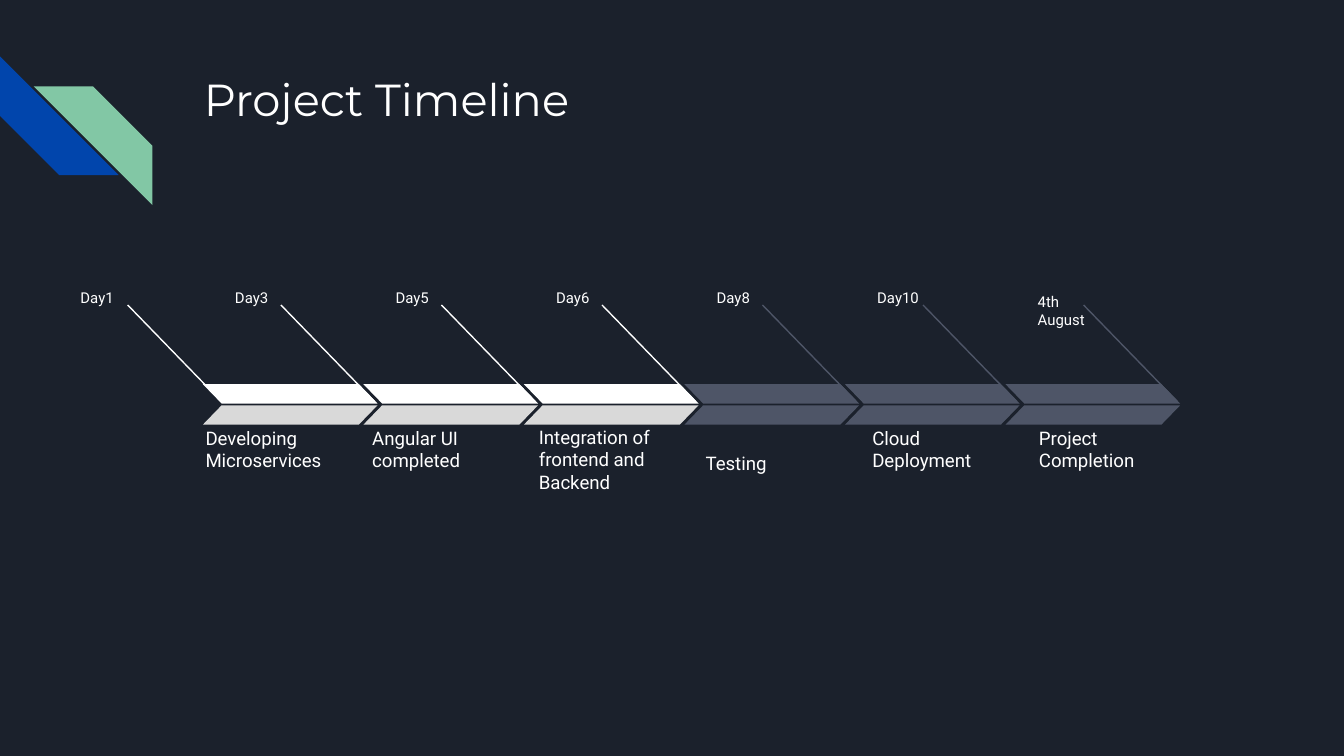
import pptx
import pptx.util
import pptx.dml.color
import pptx.enum.shapes
import pptx.enum.text
import lxml.etree

Pt = pptx.util.Pt
SHAPES = pptx.enum.shapes.MSO_SHAPE
ANCHOR = pptx.enum.text.MSO_ANCHOR

# Content: stage, day it ends, done or not, extra drop of its label
TITLE = "Project Timeline"
START_DAY = "Day1"
STAGES = [
    ("Developing Microservices", "Day3", True, 0),
    ("Angular UI completed", "Day5", True, 0),
    ("Integration of frontend and Backend", "Day6", True, 11.5),
    ("Testing", "Day8", False, 0),
    ("Cloud Deployment", "Day10", False, 0),
    ("Project Completion", "4th August", False, 0),
]
WHITE, GREY, SLATE = "FFFFFF", "D9D9D9", "4E5567"
NAVY, BLUE, GREEN = "1B212C", "0145AC", "82C7A5"

# Layout in points
STAGE_LEFT, STAGE_PITCH = 108.7, 86
LABEL_LEFT, LABEL_PITCH = 103, 89.3
BAND_WIDTH, BAND_HEIGHT = 93.6, 10.4
UPPER_TOP, LOWER_TOP = 205.8, 217.1
DAY_TOP, POINTER_TOP = 149.8, 163.4

deck = pptx.Presentation()
deck.slide_width, deck.slide_height = Pt(720), Pt(405)
slide = deck.slides.add_slide(deck.slide_layouts[6])


def color(hex_value):
    return pptx.dml.color.RGBColor.from_string(hex_value)


def add_text(words, left, top, width, height, size, font="Roboto", anchor=ANCHOR.TOP):
    frame = slide.shapes.add_textbox(Pt(left), Pt(top), Pt(width), Pt(height)).text_frame
    frame.word_wrap = True
    frame.vertical_anchor = anchor
    frame.margin_left = frame.margin_right = Pt(7.2)
    frame.margin_top = frame.margin_bottom = Pt(7.2)
    run = frame.paragraphs[0].add_run()
    run.text = words
    run.font.size, run.font.name = Pt(size), font
    run.font.color.rgb = color(WHITE)


def add_band(kind, left, top, width, height, adjust, fill, flip=False, rotation=0):
    band = slide.shapes.add_shape(kind, Pt(left), Pt(top), Pt(width), Pt(height))
    band.shadow.inherit = False
    band.adjustments[0] = adjust
    band.fill.solid()
    band.fill.fore_color.rgb = color(fill)
    band.line.fill.background()
    band.rotation = rotation
    if flip:
        band._element.spPr.xfrm.set("flipH", "1")


def add_day(day, text_left, pointer_left, stroke):
    add_text(day, text_left, DAY_TOP, 42.5, 16.6, 8)
    pointer = slide.shapes.add_connector(
        pptx.enum.shapes.MSO_CONNECTOR.STRAIGHT,
        Pt(pointer_left), Pt(POINTER_TOP), Pt(pointer_left + 50.3), Pt(POINTER_TOP + 51.8))
    pointer.line.color.rgb = color(stroke)
    pointer.line.width = Pt(0.75)
    lxml.etree.SubElement(pointer._element.spPr, pptx.oxml.ns.qn("a:effectLst"))


# Background, corner stripes and title
slide.background.fill.solid()
slide.background.fill.fore_color.rgb = color(NAVY)
add_band(SHAPES.DIAGONAL_STRIPE, 0, 30.2, 63.6, 63.6, 0.5, BLUE, rotation=270)
add_band(SHAPES.DIAGONAL_STRIPE, 18.1, 46.3, 63.6, 63.6, 0.5, GREEN, flip=True)
add_text(TITLE, 102.2, 31, 554.4, 72, 24, "Montserrat")

# Timeline
add_day(START_DAY, 36, 68.4, WHITE)
for i, (stage, day, done, drop) in enumerate(STAGES):
    left = STAGE_LEFT + i * STAGE_PITCH
    upper, lower = (WHITE, GREY) if done else (SLATE, SLATE)
    add_day(day, left + 10.1, left + 41.8, upper)
    add_band(SHAPES.PARALLELOGRAM, left, UPPER_TOP, BAND_WIDTH, BAND_HEIGHT, 0.97, upper, flip=True)
    add_band(SHAPES.PARALLELOGRAM, left, LOWER_TOP, BAND_WIDTH, BAND_HEIGHT, 0.97, lower)
    add_text(stage, LABEL_LEFT + i * LABEL_PITCH, 228.2 + drop, 90, 31.7, 10,
             anchor=ANCHOR.BOTTOM)

deck.save("out.pptx")
